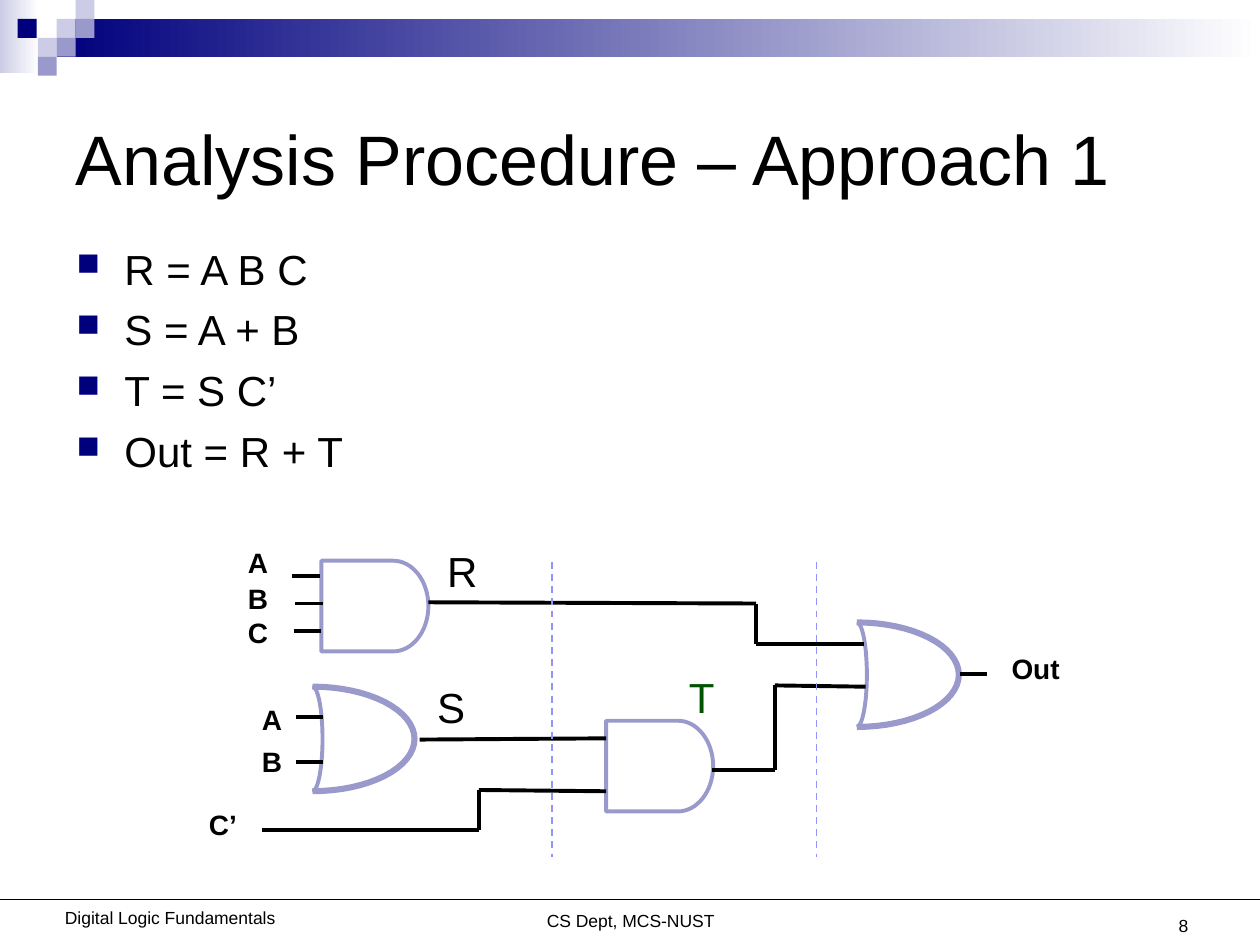
"""Build the slide on analysing a logic circuit, approach 1."""
from itertools import pairwise
from math import cos, pi, sin

from lxml import etree
from pptx import Presentation
from pptx.dml.color import RGBColor
from pptx.enum import dml, shapes, text
from pptx.oxml.ns import qn
from pptx.util import Inches, Pt

THEME = {
    "font": "Arial", "ink": "000000", "navy": "00007D", "pale": "CCCCE6",
    "lilac": "9999CC", "white": "FFFFFF", "green": "005400", "divider": "9393FC",
    "title": 40, "body": 24, "label": 16, "footer": 10,
    "wire": 2.25, "curve": 3.5, "rule": 0.75, "dash": 1,
}

TITLE = "Analysis Procedure – Approach 1"
EQUATIONS = ["R = A B C", "S = A + B", "T = S C’", "Out = R + T"]
FOOTERS = [
    ("CS Dept, MCS-NUST", (2.92, 7.17, 4.17, 0.27), "CENTER"),
    ("Digital Logic Fundamentals", (0.35, 7.15, 2, 0.27), "CENTER"),
    ("8", (7.2, 7.21, 2.33, 0.27), "RIGHT"),
]

BANDS = [((0, 0, 0.31, 0.58), "pale"), ((0.45, 0.15, 9.55, 0.3), "navy")]
TILE = 0.15
TILES = [
    (0.45, 0.15, "pale"), (0.6, 0, "pale"), (0.6, 0.15, "lilac"),
    (0.3, 0.3, "pale"), (0.14, 0.15, "navy"), (0.45, 0.3, "lilac"),
    (0.3, 0.45, "lilac"),
]

AND_GATES = [(2.55, 4.45), (4.81, 5.72)]
AND_BODY, AND_NOSE, AND_HEIGHT = 0.57, 0.28, 0.72
OR_GATES = [(6.8, 4.94), (2.48, 5.45)]
OR_NOSE, OR_BACK, OR_HEIGHT = 0.81, 0.08, 0.83

WIRES = [
    [(2.32, 4.57), (2.54, 4.57)],
    [(2.34, 4.79), (2.56, 4.79)],
    [(2.33, 5.01), (2.55, 5.01)],
    [(2.35, 5.69), (2.56, 5.69)],
    [(2.35, 6.05), (2.56, 6.05)],
    [(2.08, 6.59), (3.8, 6.59), (3.8, 6.27), (4.81, 6.28)],
    [(3.33, 5.87), (4.81, 5.86)],
    [(3.4, 4.78), (6, 4.79), (6, 5.11), (6.86, 5.11)],
    [(5.65, 6.11), (6.15, 6.11), (6.15, 5.44), (6.87, 5.45)],
    [(7.62, 5.35), (7.83, 5.35)],
]
DIVIDERS = [4.38, 6.48]
DIVIDER_TOP, DIVIDER_BOTTOM = 4.46, 6.8

PINS = [
    ("A", 1.87, 4.28, 0.36), ("B", 1.87, 4.57, 0.36), ("C", 1.87, 4.84, 0.36),
    ("A", 1.98, 5.53, 0.36), ("B", 1.98, 5.86, 0.36), ("C’", 1.56, 6.36, 0.42),
    ("Out", 7.93, 5.12, 0.58),
]
SIGNALS = [
    ("R", 3.45, 4.28, 0.44, "ink"), ("S", 3.37, 5.36, 0.42, "ink"),
    ("T", 5.37, 5.28, 0.4, "green"),
]


def color(name):
    return RGBColor.from_string(THEME[name])


def style(paragraph, size, ink="ink", bold=False):
    font = paragraph.font
    font.name, font.size, font.bold = THEME["font"], Pt(THEME[size]), bold
    font.color.rgb = color(ink)


def add_text(slide, words, box, size, align="LEFT", ink="ink", bold=False, wrap=True):
    frame = slide.shapes.add_textbox(*map(Inches, box)).text_frame
    frame.word_wrap = wrap
    paragraph = frame.paragraphs[0]
    paragraph.text = words
    paragraph.alignment = text.PP_ALIGN[align]
    style(paragraph, size, ink, bold)


def add_block(slide, box, fill, fade=False):
    block = slide.shapes.add_shape(shapes.MSO_SHAPE.RECTANGLE, *map(Inches, box))
    block.shadow.inherit = False
    block.line.fill.background()
    if fade:
        block.fill.gradient()
        block.fill.gradient_angle = 0
        for stop, name in zip(block.fill.gradient_stops, (fill, "white")):
            stop.color.rgb = color(name)
    else:
        block.fill.solid()
        block.fill.fore_color.rgb = color(fill)


def add_line(slide, start, end, ink="ink", width="wire"):
    line = slide.shapes.add_connector(
        shapes.MSO_CONNECTOR.STRAIGHT, *map(Inches, (*start, *end)))
    etree.SubElement(line._element.spPr, qn("a:effectLst"))
    line.line.color.rgb = color(ink)
    line.line.width = Pt(THEME[width])
    return line


def half_ellipse(left, top, reach, height, steps=32):
    """Return points from the top round the right side to the bottom."""
    angles = [pi * i / steps - pi / 2 for i in range(steps + 1)]
    return [(left + reach * cos(a), top + height / 2 * (1 + sin(a))) for a in angles]


def add_outline(slide, points, width, close=False):
    first, *rest = [(Inches(x), Inches(y)) for x, y in points]
    builder = slide.shapes.build_freeform(*first)
    builder.add_line_segments(rest, close=close)
    outline = builder.convert_to_shape()
    outline.shadow.inherit = False
    outline.fill.background()
    outline.line.color.rgb = color("lilac")
    outline.line.width = Pt(THEME[width])


def add_title(slide):
    title = slide.shapes.title
    title.left, title.top, title.width, title.height = map(Inches, (0.5, 0.5, 9, 1.5))
    frame = title.text_frame
    frame.text = TITLE
    frame.auto_size = text.MSO_AUTO_SIZE.NONE
    frame.vertical_anchor = text.MSO_ANCHOR.MIDDLE
    frame.paragraphs[0].alignment = text.PP_ALIGN.LEFT
    style(frame.paragraphs[0], "title")


def add_equations(slide):
    frame = slide.shapes.add_textbox(*map(Inches, (0.51, 1.88, 9, 2))).text_frame
    frame.word_wrap = True
    frame.text = "\n".join(EQUATIONS)
    for i, paragraph in enumerate(frame.paragraphs):
        if i:
            paragraph.space_before = Pt(6)
        properties = paragraph._p.get_or_add_pPr()
        properties.set("marL", str(Inches(0.38)))
        properties.set("indent", str(-Inches(0.38)))
        tint = etree.SubElement(properties, qn("a:buClr"))
        etree.SubElement(tint, qn("a:srgbClr"), val=THEME["navy"])
        etree.SubElement(properties, qn("a:buSzPct"), val="75000")
        etree.SubElement(properties, qn("a:buChar"), char="■")
        style(paragraph, "body")


def add_circuit(slide):
    for left, top in AND_GATES:
        nose = half_ellipse(left + AND_BODY, top, AND_NOSE, AND_HEIGHT)
        body = [(left, top), *nose, (left, top + AND_HEIGHT)]
        add_outline(slide, body, "wire", close=True)
    for left, top in OR_GATES:
        for reach, width in ((OR_NOSE, "curve"), (OR_BACK, "wire")):
            add_outline(slide, half_ellipse(left, top, reach, OR_HEIGHT), width)
    for wire in WIRES:
        for start, end in pairwise(wire):
            add_line(slide, start, end)
    for words, left, top, width in PINS:
        add_text(slide, words, (left, top, width, 0.37), "label", bold=True, wrap=False)
    for words, left, top, width, ink in SIGNALS:
        add_text(slide, words, (left, top, width, 0.5), "body", ink=ink, wrap=False)
    for x in DIVIDERS:
        divider = add_line(slide, (x, DIVIDER_TOP), (x, DIVIDER_BOTTOM), "divider", "dash")
        divider.line.dash_style = dml.MSO_LINE.DASH


def main():
    deck = Presentation()
    deck.slide_width, deck.slide_height = Inches(10), Inches(7.5)
    slide = deck.slides.add_slide(deck.slide_layouts[5])
    for box, fill in BANDS:
        add_block(slide, box, fill, fade=True)
    for left, top, fill in TILES:
        add_block(slide, (left, top, TILE, TILE), fill)
    for words, box, align in FOOTERS:
        add_text(slide, words, box, "footer", align)
    add_line(slide, (0, 7.14), (10, 7.14), width="rule")
    add_title(slide)
    add_equations(slide)
    add_circuit(slide)
    deck.save("out.pptx")


if __name__ == "__main__":
    main()
